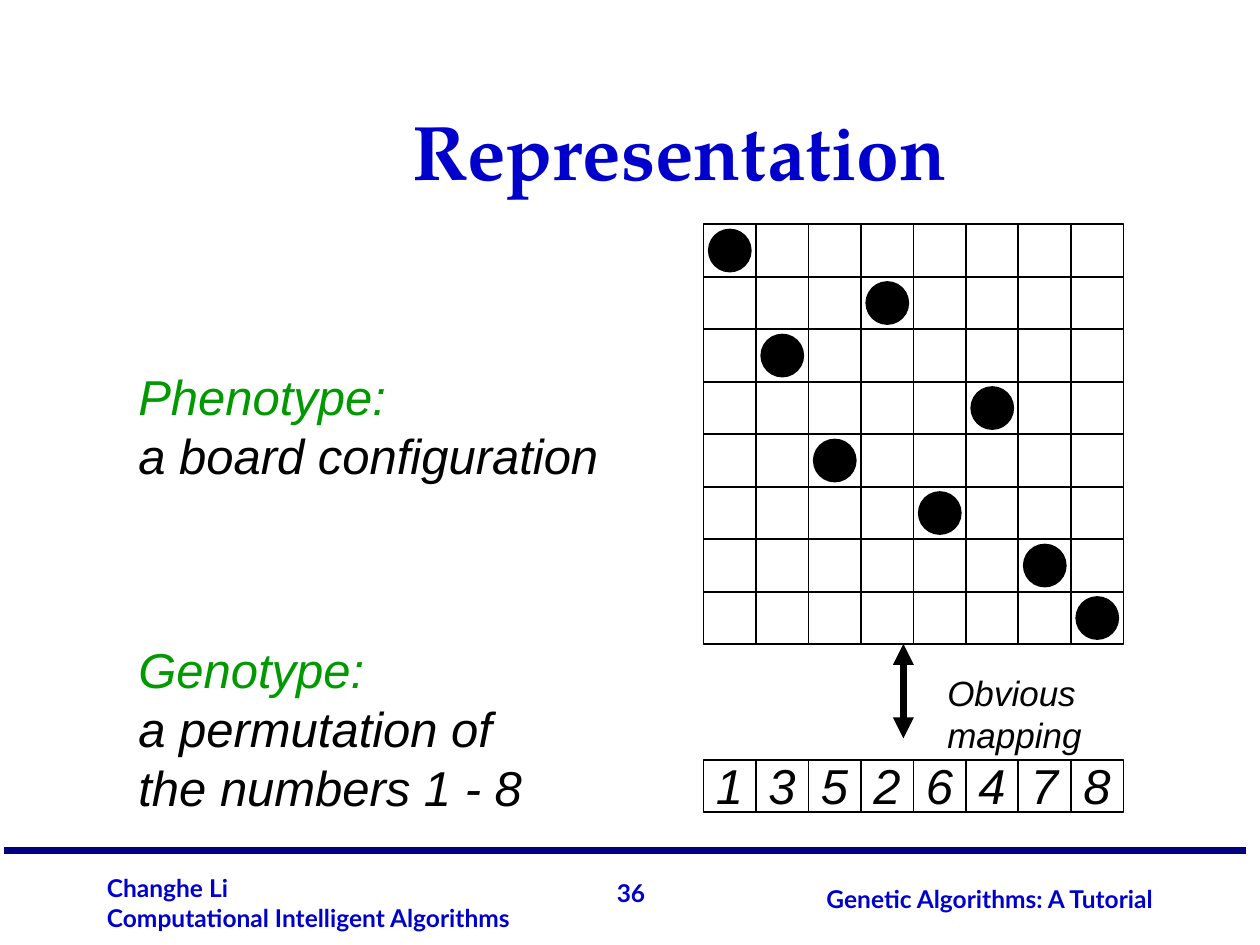
from pptx import Presentation
from pptx.dml.color import RGBColor
from pptx.enum.shapes import MSO_CONNECTOR, MSO_SHAPE
from pptx.enum.text import MSO_ANCHOR, PP_ALIGN
from pptx.oxml.ns import qn
from pptx.util import Inches, Pt
from lxml.etree import SubElement

BLUE = RGBColor(0x00, 0x00, 0xCC)
NAVY = RGBColor(0x00, 0x00, 0x80)
GREEN = RGBColor(0x00, 0x99, 0x00)
BLACK = RGBColor(0x00, 0x00, 0x00)
WHITE = RGBColor(0xFF, 0xFF, 0xFF)

TITLE = "Representation"
GENES = [1, 3, 5, 2, 6, 4, 7, 8]
FOOTERS = [
    ("36", (4.79, 6.92, 0.43, 0.33), PP_ALIGN.RIGHT, False),
    ("Changhe Li\nComputational Intelligent Algorithms",
     (0.75, 6.88, 3.75, 0.57), PP_ALIGN.LEFT, True),
    ("Genetic Algorithms: A Tutorial", (5.92, 6.97, 3.33, 0.33), PP_ALIGN.RIGHT, True),
]
NOTES = [
    ("Genotype:\na permutation of\nthe numbers 1 - 8", (1, 5.03, 3.25, 1.5)),
    ("Phenotype:\na board configuration", (1, 2.86, 3.97, 1.03)),
]
MAPPING = ("Obvious mapping", (7.42, 5.28, 2.36, 0.43))

WIDE, HIGH = 10, 7.5
SIZE = len(GENES)
CELL = WIDE / 24
LEFT, TOP = 13.4 * CELL, 1.78
ROW = TOP + 10.2 * CELL
DOT = 0.8 * CELL

deck = Presentation()
deck.slide_width, deck.slide_height = Inches(WIDE), Inches(HIGH)
slide = deck.slides.add_slide(deck.slide_layouts[6])
shapes = slide.shapes


def write(text, place, size, color, face="Arial", align=PP_ALIGN.LEFT,
          anchor=MSO_ANCHOR.TOP, wrap=False, bold=False, italic=False):
    frame = shapes.add_textbox(*map(Inches, place)).text_frame
    frame.text = text
    frame.word_wrap = wrap
    frame.vertical_anchor = anchor
    for para in frame.paragraphs:
        para.alignment = align
        for run in para.runs:
            font = run.font
            font.name, font.size = face, Pt(size)
            font.bold, font.italic = bold, italic
            font.color.rgb = color
    return frame


def draw(kind, place, fill):
    shape = shapes.add_shape(kind, *map(Inches, place))
    shape.shadow.inherit = False
    shape.fill.solid()
    shape.fill.fore_color.rgb = fill
    shape.line.color.rgb = BLACK
    shape.line.width = Pt(1)


def rule(start, end, color, width, arrows=False):
    link = shapes.add_connector(MSO_CONNECTOR.STRAIGHT, *map(Inches, start + end))
    link.line.color.rgb = color
    link.line.width = Pt(width)
    if arrows:
        for tag in ("a:headEnd", "a:tailEnd"):
            SubElement(link.line._get_or_add_ln(), qn(tag), type="triangle")
    SubElement(link._element.spPr, qn("a:effectLst"))


def square(col, top):
    draw(MSO_SHAPE.RECTANGLE, (LEFT + col * CELL, top, CELL, CELL), WHITE)


for text, place, align, wrap in FOOTERS:
    write(text, place, 14, BLUE, "Lato", align, MSO_ANCHOR.MIDDLE, wrap, bold=True)
rule((0.03, 6.75), (9.89, 6.75), NAVY, 4.5)

title = write(TITLE, (0.79, 0.59, 9.21, 0.83), 44, BLUE, "TeX Gyre Pagella",
              PP_ALIGN.CENTER, MSO_ANCHOR.MIDDLE, True, bold=True)
title.paragraphs[0].line_spacing = 1.5

for col, gene in enumerate(GENES):
    square(col, ROW)
    write(str(gene), (LEFT + col * CELL, ROW - 0.08, 0.39, 0.56), 28, BLACK,
          align=PP_ALIGN.CENTER, italic=True)

for text, place in NOTES:
    note = write(text, place, 28, BLACK, italic=True)
    note.paragraphs[0].runs[0].font.color.rgb = GREEN

for row in range(SIZE):
    for col in range(SIZE):
        square(col, TOP + row * CELL)

inset = (CELL - DOT) / 2
for col, gene in enumerate(GENES):
    spot = (LEFT + col * CELL + inset, TOP + (gene - 1) * CELL + inset, DOT, DOT)
    draw(MSO_SHAPE.OVAL, spot, BLACK)

rule((7.17, 5.11), (7.17, 5.86), BLACK, 4, arrows=True)
write(*MAPPING, 20, BLACK, italic=True)

deck.save("out.pptx")
